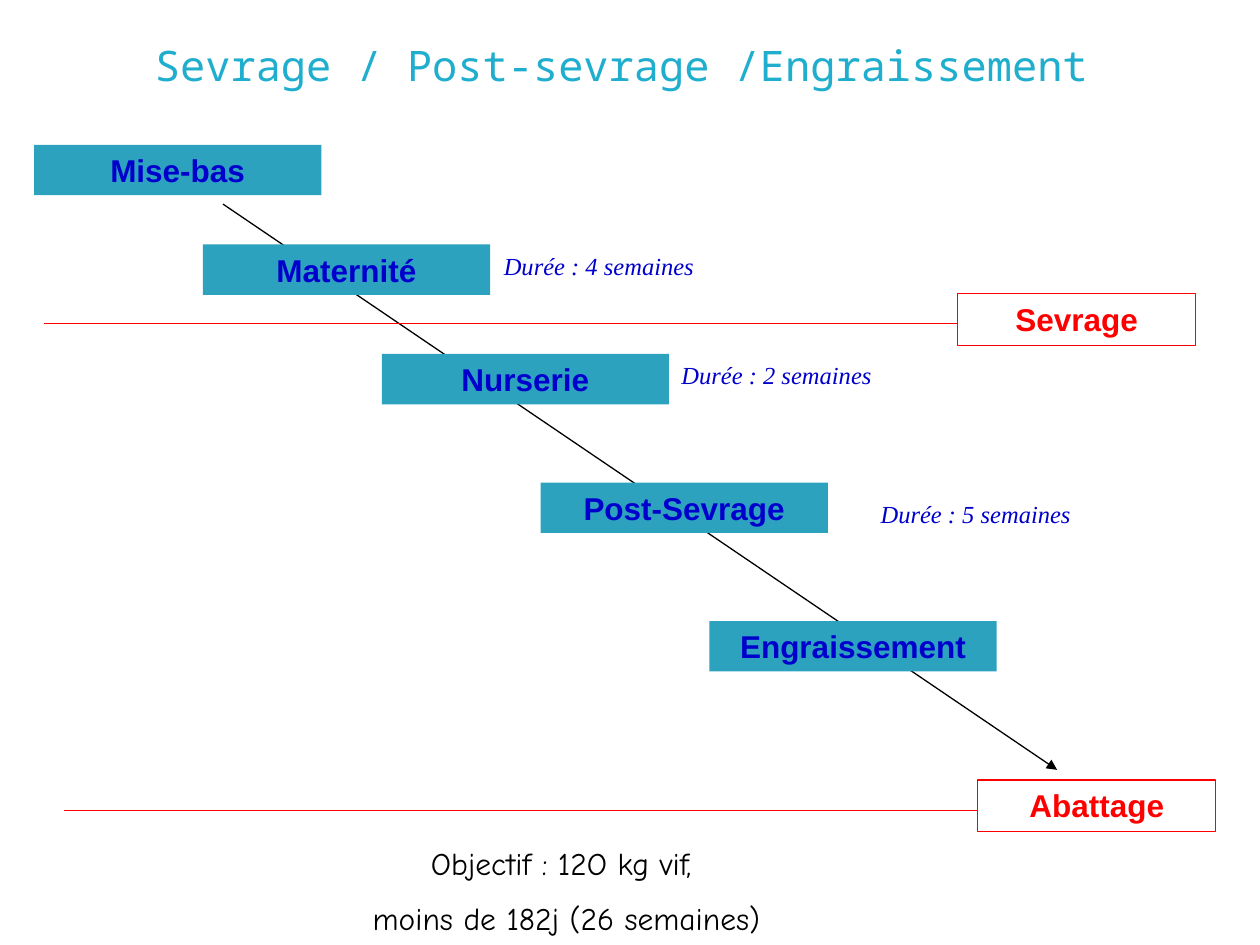
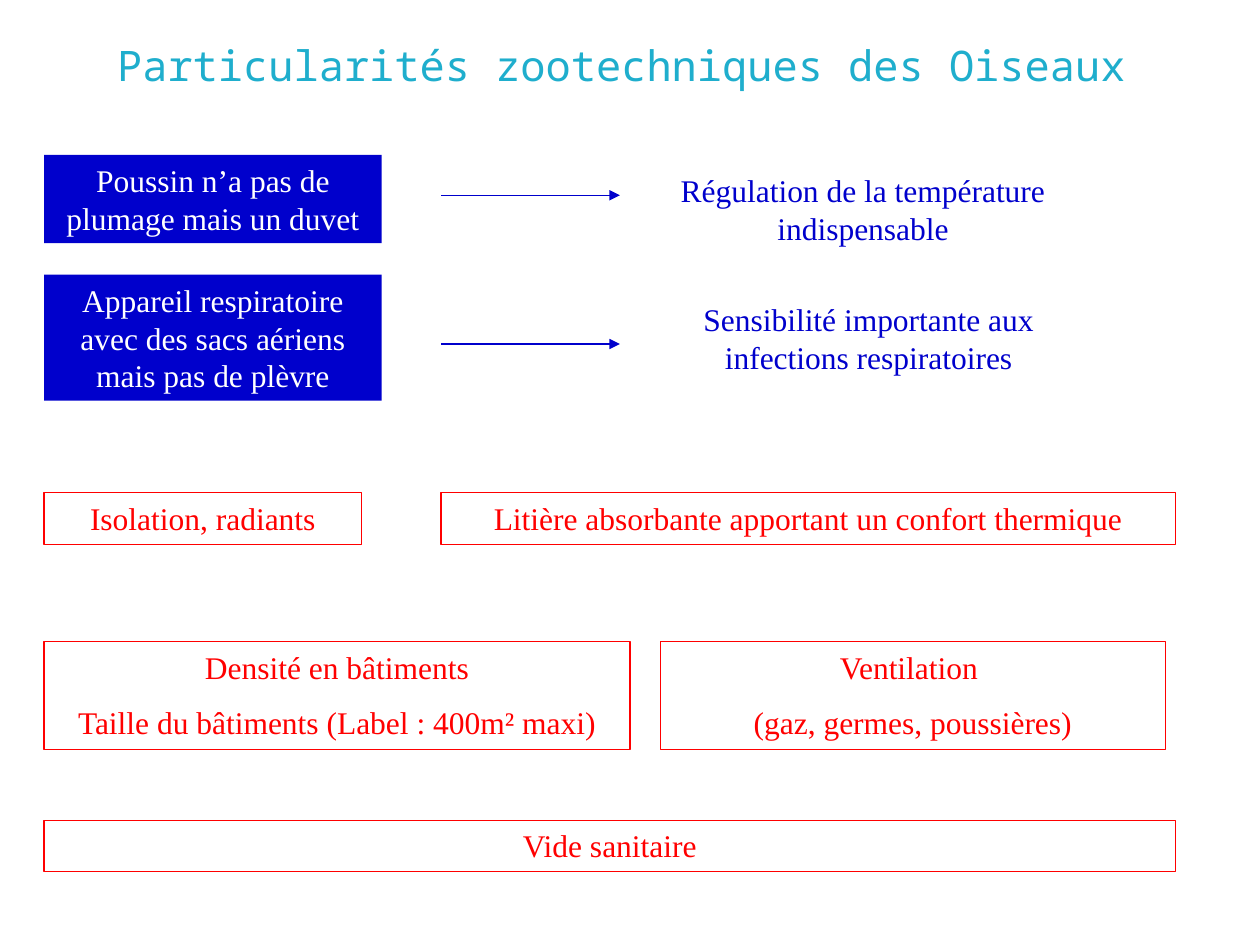
"""Build two slides on pig rearing stages and poultry housing."""
from lxml import etree
from pptx import Presentation
from pptx.dml.color import RGBColor
from pptx.enum.shapes import MSO_CONNECTOR, MSO_SHAPE
from pptx.enum.text import MSO_ANCHOR, PP_ALIGN
from pptx.oxml.ns import qn
from pptx.util import Inches, Pt

LEFT, CENTER = PP_ALIGN.LEFT, PP_ALIGN.CENTER
TOP, MIDDLE = MSO_ANCHOR.TOP, MSO_ANCHOR.MIDDLE
RECT, STRAIGHT = MSO_SHAPE.RECTANGLE, MSO_CONNECTOR.STRAIGHT

TEAL, CYAN, BLUE = "2DA2BF", "1FAECD", "0000CC"
RED, BLACK, WHITE = "FF0000", "000000", "FFFFFF"
SANS, SERIF, MONO, COMIC = "Arial", "Times New Roman", "Noto Sans Mono", "Comic Neue"

EDGE, MID, LAST = 0.35, 3.5, 9.33
ROW, PAIR = 0.41, 0.86
STAGE_W, STAGE_H, END_W = 2.28, 0.4, 1.89
FACT_W, ARROW_W = 2.68, 1.42

STAGES = [
    ("Mise-bas", 0.27, 1.15),
    ("Maternité", 1.61, 1.94),
    ("Nurserie", 3.03, 2.81),
    ("Post-Sevrage", 4.29, 3.83),
    ("Engraissement", 5.63, 4.93),
]
SPANS = [
    ("Durée : 4 semaines", 3.9, 1.94),
    ("Durée : 2 semaines", 5.31, 2.81),
    ("Durée : 5 semaines", 6.89, 3.91),
]
ENDS = [("Sevrage", 0.35, 7.6, 2.33), ("Abattage", 0.51, 7.76, 6.19)]
GOAL = ["Objectif : 12O kg vif, ", "moins de 182j (26 semaines)"]

FACTS = [
    ("Poussin n’a pas de plumage mais un duvet", 1.23, 0.7, 1.55,
     "Régulation de la température indispensable", 5.08, 1.31, 3.54),
    ("Appareil respiratoire avec des sacs aériens mais pas de plèvre", 2.18, 1, 2.73,
     "Sensibilité importante aux infections respiratoires", 5.16, 2.33, 3.47),
]
NEEDS = [
    (["Isolation, radiants"], EDGE, 2.87, 3.91, ROW),
    (["Litière absorbante apportant un confort thermique"], MID, LAST, 3.91, ROW),
    (["Densité en bâtiments", "Taille du bâtiments (Label : 400m² maxi)"],
     EDGE, 5, 5.09, PAIR),
    (["Ventilation ", "(gaz, germes, poussières)"], 5.24, 9.25, 5.09, PAIR),
    (["Vide sanitaire"], EDGE, LAST, 6.51, ROW),
]


def rgb(code):
    return RGBColor.from_string(code)


def write(shape, lines, font, size, color, align=CENTER, bold=False,
          slant=False, anchor=TOP):
    frame = shape.text_frame
    frame.word_wrap = True
    frame.vertical_anchor = anchor
    frame.text = "\n".join(lines)
    for num, para in enumerate(frame.paragraphs):
        para.alignment = align
        if num:
            para.space_before = Pt(10)
        for run in para.runs:
            face = run.font
            face.name, face.size = font, Pt(size)
            face.bold, face.italic = bold, slant
            face.color.rgb = rgb(color)


def label(slide, box, lines, font, size, color, **style):
    shape = slide.shapes.add_textbox(*map(Inches, box))
    write(shape, lines, font, size, color, **style)


def block(slide, box, lines, font, color, fill=None, edge=None, bold=False):
    shape = slide.shapes.add_shape(RECT, *map(Inches, box))
    shape.shadow.inherit = False
    if fill:
        shape.fill.solid()
        shape.fill.fore_color.rgb = rgb(fill)
    else:
        shape.fill.background()
    if edge:
        shape.line.color.rgb = rgb(edge)
        shape.line.width = Pt(0.75)
    else:
        shape.line.fill.background()
    write(shape, lines, font, 18, color, bold=bold)


def rule(slide, ends, color, arrow=False):
    link = slide.shapes.add_connector(STRAIGHT, *map(Inches, ends))
    link.line.color.rgb = rgb(color)
    link.line.width = Pt(0.75)
    if arrow:
        tip = etree.SubElement(link.line._get_or_add_ln(), qn("a:tailEnd"))
        tip.set("type", "triangle")
    etree.SubElement(link._element.spPr, qn("a:effectLst"))


def start(deck):
    return deck.slides.add_slide(deck.slide_layouts[6])


def head(slide, text):
    label(slide, (0.43, 0.13, 9, 0.77), [text], MONO, 24, CYAN, anchor=MIDDLE)


def pigs(deck):
    slide = start(deck)
    rule(slide, (1.77, 1.62, 8.39, 6.11), BLACK, arrow=True)
    head(slide, "Sevrage / Post-sevrage /Engraissement")
    for text, x, y in STAGES:
        block(slide, (x, y, STAGE_W, STAGE_H), [text], SANS, BLUE, fill=TEAL, bold=True)
    for text, x, stop, y in ENDS:
        rule(slide, (x, y + 0.24, stop, y + 0.24), RED)
        block(slide, (stop, y, END_W, ROW), [text], SANS, RED, edge=RED, bold=True)
    label(slide, (2.72, 6.65, 3.55, 0.85), GOAL, COMIC, 18, BLACK)
    for text, x, y in SPANS:
        label(slide, (x, y, 2.52, 0.33), [text], SERIF, 14, BLUE, align=LEFT, slant=True)


def birds(deck):
    slide = start(deck)
    head(slide, "Particularités zootechniques des Oiseaux")
    for fact, y, high, mid, need, x, top, wide in FACTS:
        block(slide, (EDGE, y, FACT_W, high), [fact], SERIF, WHITE, fill=BLUE)
        label(slide, (x, top, wide, 0.7), [need], SERIF, 18, BLUE)
        rule(slide, (MID, mid, MID + ARROW_W, mid), BLUE, arrow=True)
    for lines, x, stop, y, high in NEEDS:
        block(slide, (x, y, stop - x, high), lines, SERIF, RED, edge=RED)


def main():
    deck = Presentation()
    deck.slide_width, deck.slide_height = Inches(10), Inches(7.5)
    pigs(deck)
    birds(deck)
    deck.save("out.pptx")


if __name__ == "__main__":
    main()
